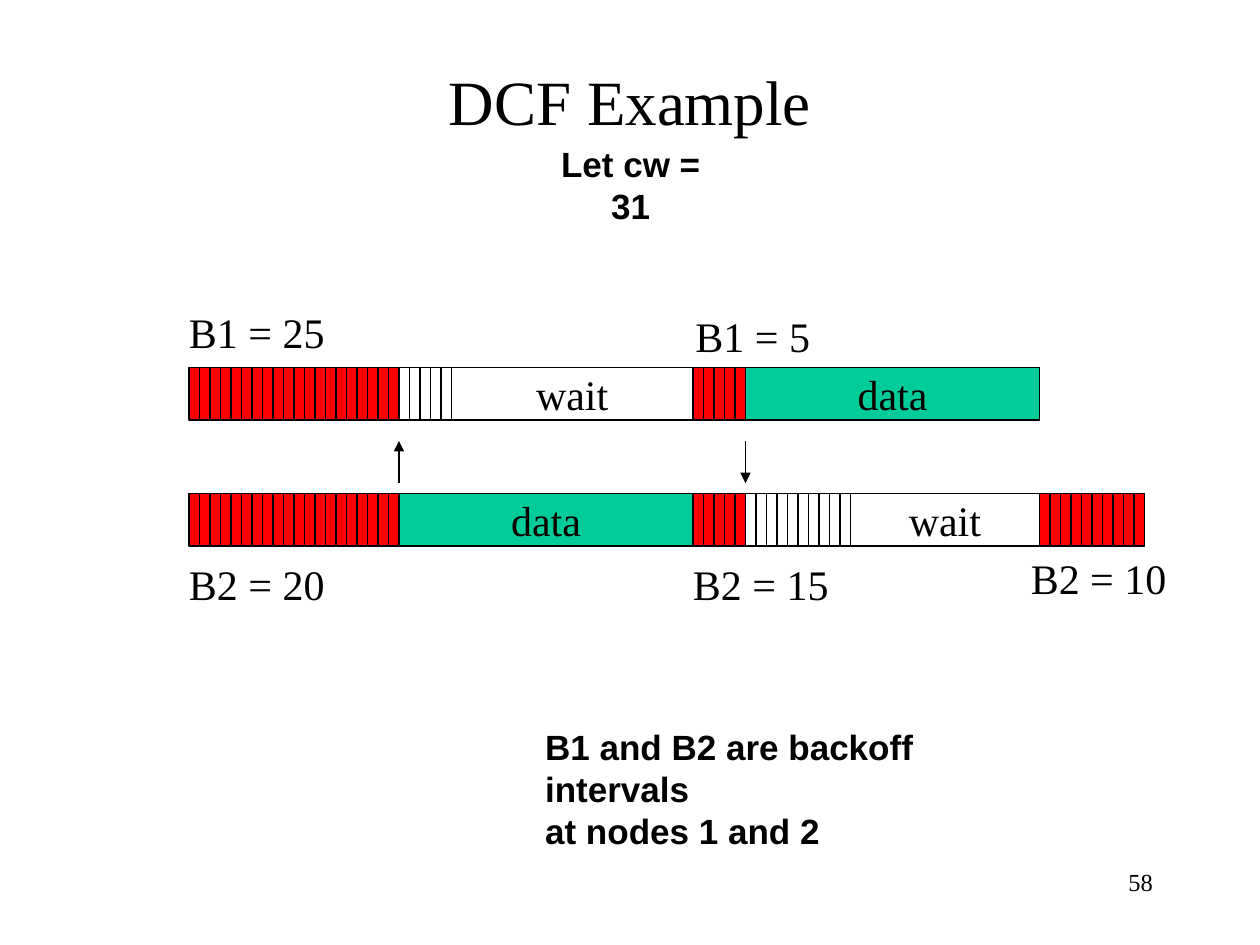
from lxml.etree import SubElement
from pptx import Presentation
from pptx.dml.color import RGBColor
from pptx.enum.shapes import MSO_CONNECTOR as Line, MSO_SHAPE as Shape
from pptx.enum.text import MSO_ANCHOR as Anchor, PP_ALIGN as Align
from pptx.oxml.ns import qn
from pptx.util import Cm, Pt

TITLE = "DCF Example"
SERIF, SANS = "Times New Roman", "Arial"
BLACK, RED, GREEN = "000000", "FF0000", "00CC99"

SLOT = 2.54 / 12  # one backoff slot, in cm
START = 3.81
HIGH = 1.06

# Each row: top, then (slots, fill, label); a part with no label is cut into slots
ROWS = [
    (7.41, [(20, RED, ""), (5, None, ""), (23, None, "wait"),
            (5, RED, ""), (28, GREEN, "data")]),
    (9.95, [(20, RED, ""), (28, GREEN, "data"), (5, RED, ""),
            (10, None, ""), (18, None, "wait"), (10, RED, "")]),
]
# Slot where the arrow stands, from, to
ARROWS = [(20, 9.74, 8.89), (53, 8.89, 9.74)]
# Text, left, top, width
LABELS = [
    ("B1 = 25", 3.56, 6.05, 3.25),
    ("B1 = 5", 13.77, 6.14, 2.82),
    ("B2 = 20", 3.56, 11.13, 3.25),
    ("B2 = 15", 13.72, 11.13, 3.25),
    ("B2 = 10", 20.53, 11.01, 3.25),
]
NOTE = ["B1 and B2 are backoff intervals", "at nodes 1 and 2"]


def color(code):
    return RGBColor.from_string(code)


def write(frame, lines, size, face=SERIF, align=Align.LEFT, bold=False):
    frame.text = "\n".join(lines)
    for para in frame.paragraphs:
        para.alignment = align
        font = para.font
        font.name, font.size, font.bold = face, Pt(size), bold
        font.color.rgb = color(BLACK)


def add_text(slide, lines, left, top, width, height, size,
             anchor=Anchor.TOP, wrap=False, **style):
    box = slide.shapes.add_textbox(Cm(left), Cm(top), Cm(width), Cm(height))
    frame = box.text_frame
    frame.word_wrap = wrap
    frame.vertical_anchor = anchor
    write(frame, lines, size, **style)
    return frame


def add_block(slide, first, top, count, fill, label=""):
    """Draw a box that starts at slot `first` and is `count` slots wide."""
    box = slide.shapes.add_shape(Shape.RECTANGLE, Cm(START + first * SLOT),
                                 Cm(top), Cm(count * SLOT), Cm(HIGH))
    box.shadow.inherit = False
    if fill:
        box.fill.solid()
        box.fill.fore_color.rgb = color(fill)
    else:
        box.fill.background()
    box.line.color.rgb = color(BLACK)
    box.line.width = Pt(0.75)
    if label:
        frame = box.text_frame
        frame.word_wrap = False
        frame.vertical_anchor = Anchor.MIDDLE
        write(frame, [label], 24, align=Align.CENTER)


def add_row(slide, top, parts):
    first = 0
    for count, fill, label in parts:
        if label:
            add_block(slide, first, top, count, fill, label)
        else:
            for step in range(count):
                add_block(slide, first + step, top, 1, fill)
        first += count


def add_arrow(slide, slot, begin, end):
    x = Cm(START + slot * SLOT)
    arrow = slide.shapes.add_connector(Line.STRAIGHT, x, Cm(begin), x, Cm(end))
    arrow.line.color.rgb = color(BLACK)
    arrow.line.width = Pt(0.75)
    SubElement(arrow.line._get_or_add_ln(), qn("a:tailEnd"), type="triangle")
    SubElement(arrow._element.spPr, qn("a:effectLst"))


def main():
    deck = Presentation()
    deck.slide_width, deck.slide_height = Cm(25.4), Cm(19.05)
    slide = deck.slides.add_slide(deck.slide_layouts[5])

    title = slide.shapes.title
    title.left, title.top = Cm(1.9), Cm(0.43)
    title.width, title.height = Cm(21.6), Cm(3.18)
    title.text_frame.vertical_anchor = Anchor.MIDDLE
    write(title.text_frame, [TITLE], 36, align=Align.CENTER)

    for top, parts in ROWS:
        add_row(slide, top, parts)
    for arrow in ARROWS:
        add_arrow(slide, *arrow)
    for text, left, top, width in LABELS:
        add_text(slide, [text], left, top, width, 1.27, 24)

    add_text(slide, ["Let cw = 31"], 10.57, 3.18, 4.29, 1.09, 20,
             anchor=Anchor.MIDDLE, face=SANS, align=Align.CENTER, bold=True)
    note = add_text(slide, NOTE, 10.74, 14.91, 11.02, 1.96, 20,
                    anchor=Anchor.MIDDLE, wrap=True, face=SANS, bold=True)
    note.margin_right = Cm(1.5)
    add_text(slide, ["58"], 18.21, 17.35, 5.28, 1.27, 14,
             wrap=True, align=Align.RIGHT)

    deck.save("out.pptx")


if __name__ == "__main__":
    main()
